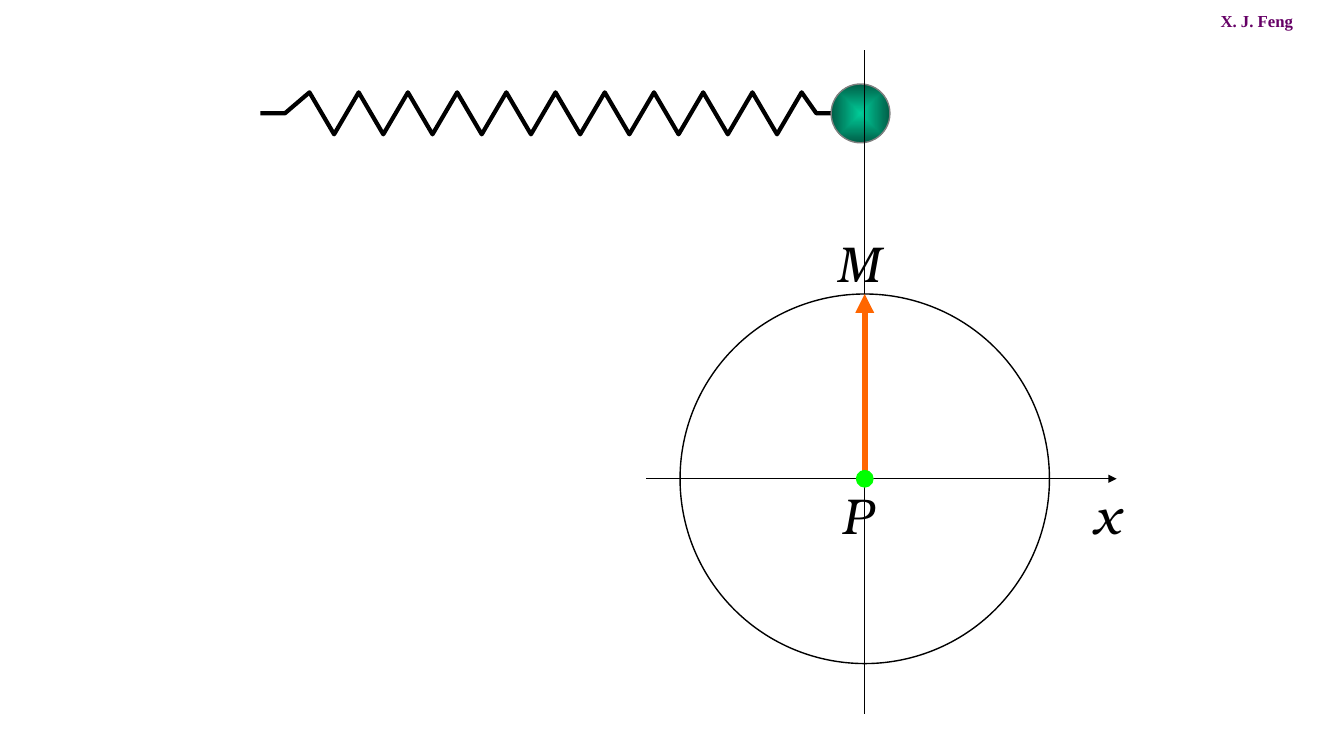
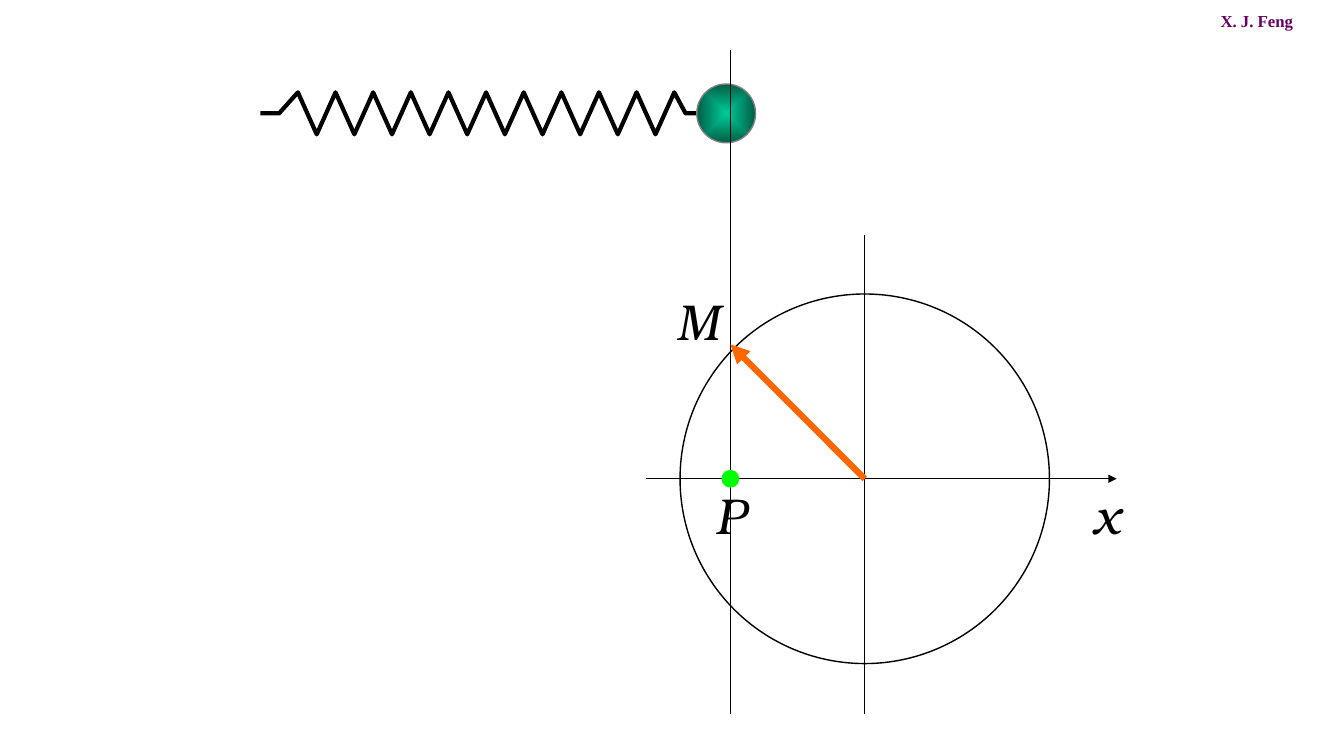
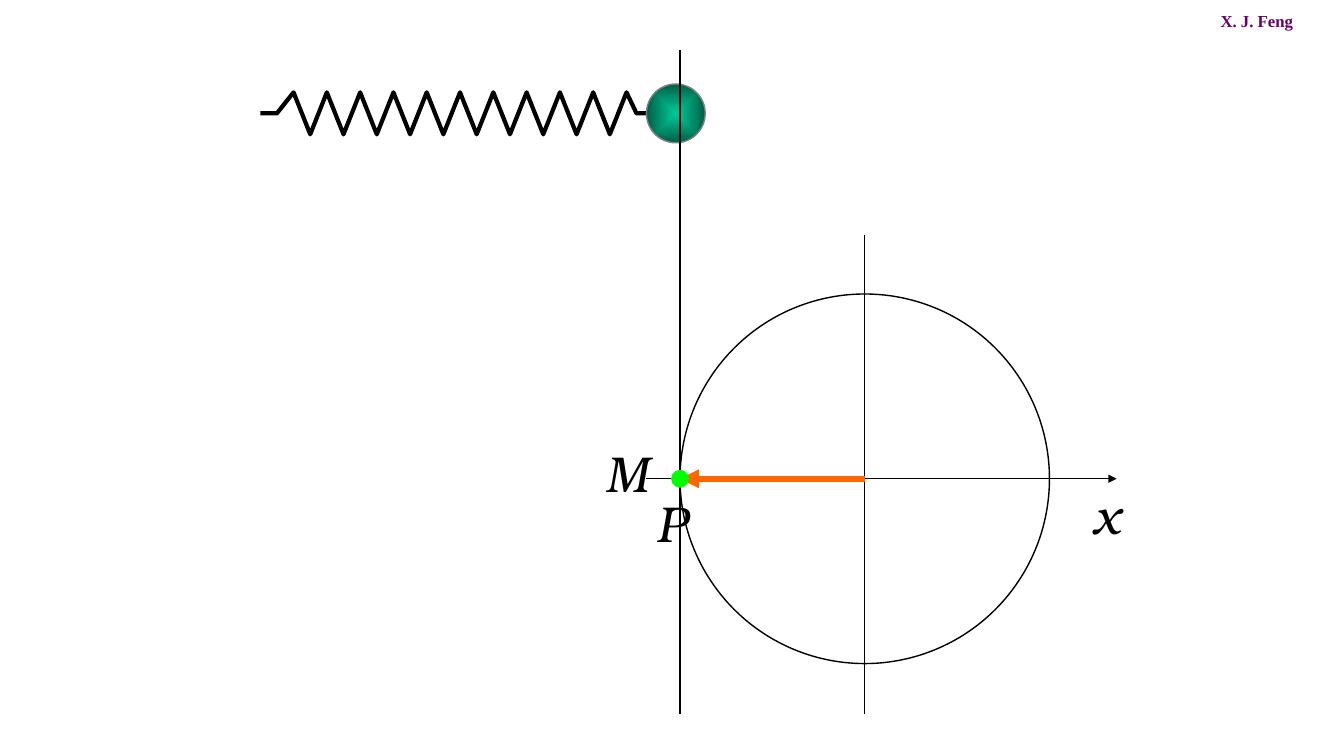
import math
from dataclasses import dataclass

from pptx import Presentation
from pptx import util as u
from pptx.dml.color import RGBColor
from pptx.enum import shapes, text
from pptx.oxml import parse_xml
from pptx.oxml.ns import nsdecls, qn

CELL = u.Inches(1) // 12  # grid unit: 160 columns by 90 rows


@dataclass(frozen=True)
class Theme:
    ink: str = "000000"
    author: str = "660066"
    vector: str = "FF6600"
    point: str = "00FF00"
    ball: tuple = ("00CC99", "005E47")
    ball_edge: str = "808080"
    thin: float = 1
    spring: float = 3
    thick: float = 4.5
    symbol_font: dict = None
    author_font: dict = None


THEME = Theme(
    symbol_font=dict(name="TeX Gyre Bonum", size=u.Pt(36), italic=True),
    author_font=dict(name="Times New Roman", size=u.Pt(12), bold=True),
)

CENTRE_X, CENTRE_Y, RADIUS = 103, 57, 22
BOTTOM = 85
SPRING_LEFT, SPRING_TOP, SPRING_MID, SPRING_BOTTOM = 31, 11, 13.5, 16
PEAKS = 21
END_STEP = 0.6  # length of each closing segment, in zigzag steps
BALL_TOP, BALL_SIZE, BALL_OFFSET = 10, 7, 4
LABEL_HEIGHT = 8.4

# angle of the vector, then left and top of the labels M and P
PHASES = [
    (90, (98.4, 27), (99, 57)),
    (135, (79.4, 34), (84, 57)),
    (180, (71, 52), (77, 58)),
]


def grid(*cells):
    return [u.Emu(round(c * CELL)) for c in cells]


def rgb(value):
    return RGBColor.from_string(value)


def set_line(sp, color, width):
    sp.line.color.rgb = rgb(color)
    sp.line.width = u.Pt(width)


def add_label(s, wording, at, font, color, wrap=False):
    box = s.shapes.add_textbox(*grid(*at))
    tf = box.text_frame
    tf.word_wrap = wrap
    tf.auto_size = text.MSO_AUTO_SIZE.SHAPE_TO_FIT_TEXT
    r = tf.paragraphs[0].add_run()
    r.text = wording
    for name, value in font.items():
        setattr(r.font, name, value)
    r.font.color.rgb = rgb(color)
    return box


def add_symbol(s, letter, left, top, width):
    add_label(s, letter, (left, top, width, LABEL_HEIGHT),
              THEME.symbol_font, THEME.ink)


def add_line(s, start, end, color=THEME.ink, width=THEME.thin, arrow=False):
    cx = s.shapes.add_connector(
        shapes.MSO_CONNECTOR.STRAIGHT, *grid(*start, *end))
    set_line(cx, color, width)
    spPr = cx.element.spPr
    if arrow:
        spPr.find(qn("a:ln")).append(
            parse_xml(f'<a:tailEnd {nsdecls("a")} type="triangle"/>'))
    spPr.append(parse_xml(f'<a:effectLst {nsdecls("a")}/>'))


def add_circle(s, left, top, size, line, width=THEME.thin, fill=None):
    sp = s.shapes.add_shape(
        shapes.MSO_SHAPE.OVAL, *grid(left, top, size, size))
    sp.shadow.inherit = False
    if fill:
        sp.fill.solid()
        sp.fill.fore_color.rgb = rgb(fill)
    else:
        sp.fill.background()
    set_line(sp, line, width)
    return sp


def add_ball(s, left):
    sp = add_circle(s, left, BALL_TOP, BALL_SIZE, THEME.ball_edge)
    sp.fill.gradient()
    for stop, color in zip(sp.fill.gradient_stops, THEME.ball):
        stop.color.rgb = rgb(color)
    grad = sp.element.spPr.find(qn("a:gradFill"))
    grad.remove(grad.find(qn("a:lin")))
    grad.append(parse_xml(
        f'<a:path {nsdecls("a")} path="rect"><a:fillToRect '
        'l="50000" t="50000" r="50000" b="50000"/></a:path>'))


def add_spring(s, right):
    step = (right - SPRING_LEFT) / (PEAKS + 1 + 2 * END_STEP)
    points = [(SPRING_LEFT + step, SPRING_MID)]
    points += [(SPRING_LEFT + (i + 2) * step,
                SPRING_BOTTOM if i % 2 else SPRING_TOP)
               for i in range(PEAKS)]
    points += [(right - END_STEP * step, SPRING_MID), (right, SPRING_MID)]
    builder = s.shapes.build_freeform(*grid(SPRING_LEFT, SPRING_MID))
    builder.add_line_segments([grid(*p) for p in points], close=False)
    sp = builder.convert_to_shape()
    sp.shadow.inherit = False
    sp.fill.background()
    set_line(sp, THEME.ink, THEME.spring)


def add_reference_circle(s):
    add_circle(s, CENTRE_X - RADIUS, CENTRE_Y - RADIUS, 2 * RADIUS, THEME.ink)
    add_line(s, (77, CENTRE_Y), (133, CENTRE_Y), arrow=True)
    add_line(s, (CENTRE_X, 28), (CENTRE_X, BOTTOM))
    add_symbol(s, "x", 129, CENTRE_Y, 5.6)


def add_phase(s, angle, m_at, p_at):
    """Draw the oscillator and its rotating vector at one angle."""
    tip_x = CENTRE_X + round(RADIUS * math.cos(math.radians(angle)))
    tip_y = CENTRE_Y - round(RADIUS * math.sin(math.radians(angle)))
    ball_left = tip_x - BALL_OFFSET
    add_spring(s, ball_left)
    add_ball(s, ball_left)
    add_line(s, (tip_x, 6), (tip_x, BOTTOM))
    add_reference_circle(s)
    add_line(s, (CENTRE_X, CENTRE_Y), (tip_x, tip_y),
             THEME.vector, THEME.thick, arrow=True)
    add_symbol(s, "M", *m_at, 7.6)
    add_symbol(s, "P", *p_at, 6)
    add_circle(s, tip_x - 1, CENTRE_Y - 1, 2, THEME.point, 0.75, THEME.point)


def put_author_on_layout(s, layout):
    for ph in list(layout.placeholders):
        ph.element.getparent().remove(ph.element)
    box = add_label(s, "X. J. Feng", (144.2, 0.7, 15.1, 3.6),
                    THEME.author_font, THEME.author, wrap=True)
    layout.shapes.element.append(box.element)


def main():
    prs = Presentation()
    prs.slide_width, prs.slide_height = u.Inches(13.34), u.Inches(7.5)
    blank = prs.slide_layouts[6]
    for phase in PHASES:
        add_phase(prs.slides.add_slide(blank), *phase)
    put_author_on_layout(prs.slides[0], blank)
    prs.save("out.pptx")


if __name__ == "__main__":
    main()
